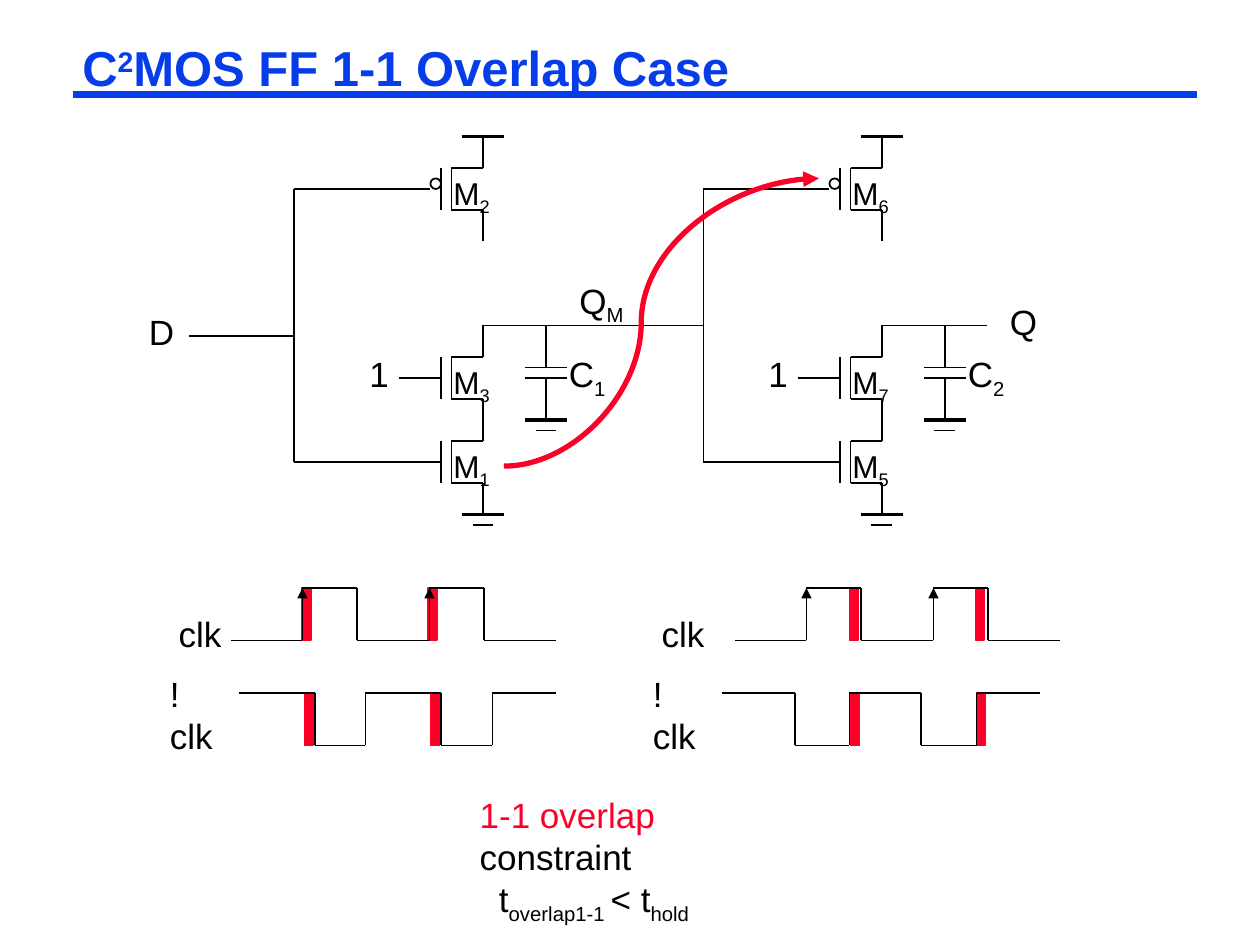
"""Build the C2MOS flip-flop 1-1 overlap slide."""
from lxml.etree import SubElement
from pptx import Presentation
from pptx.dml.color import RGBColor
from pptx.enum.shapes import MSO_CONNECTOR, MSO_SHAPE
from pptx.oxml.ns import qn
from pptx.util import Cm, Pt

COLORS = {"blue": "063DE8", "red": "FC0128", "black": "000000"}
UNIT = 2.54 / 12
STAGE = 38

prs = Presentation()
prs.slide_width, prs.slide_height = Cm(25.4), Cm(19.05)
s = prs.slides.add_slide(prs.slide_layouts[6])


def add_line(x1, y1, x2, y2, width=1, color="black", arrow=False, kind=MSO_CONNECTOR.STRAIGHT):
    ends = [Cm(v * UNIT) for v in (x1, y1, x2, y2)]
    c = s.shapes.add_connector(kind, *ends)
    c.line.width = Pt(width)
    c.line.color.rgb = RGBColor.from_string(COLORS[color])
    if arrow:
        SubElement(c.line._get_or_add_ln(), qn("a:tailEnd"), type="triangle")
    SubElement(c._element.spPr, qn("a:effectLst"))
    return c


def add_text(x, y, w, h, runs, size=20, bold=False, wrap=False):
    tf = s.shapes.add_textbox(*[Cm(v * UNIT) for v in (x, y, w, h)]).text_frame
    tf.word_wrap = wrap
    p = tf.paragraphs[0]
    for text, color, base in runs:
        if text == "\n":
            p = tf.add_paragraph()
            continue
        r = p.add_run()
        r.text = text
        r.font.name, r.font.size, r.font.bold = "Arial", Pt(size), bold
        r.font.color.rgb = RGBColor.from_string(COLORS[color])
        if base:
            r._r.get_or_add_rPr().set("baseline", str(base * 1000))
    return tf


add_line(7, 9, 114, 9, 4.5, "blue")
title = [("C", "blue", 0), ("2", "blue", 30), ("MOS FF 1-1 Overlap Case", "blue", 0)]
tf = add_text(7, 4, 107, 5.5, title, 28, True, True)
tf.margin_left = tf.margin_right = Cm(0.18)
tf.margin_top = tf.margin_bottom = Cm(0.08)
tf.paragraphs[0].line_spacing = 0.87

stages = [
    (0, 28, 67, "1", [(13, "2"), (31, "3"), (39, "1")]),
    (STAGE, 67, 94, "2", [(13, "6"), (31, "7"), (39, "5")]),
]
for dx, bus, out, cap, transistors in stages:
    drain, gate = 46 + dx, 42 + dx
    for top, name in transistors:
        pmos = top == 13
        channel = gate + 1
        for x1, y1, x2, y2 in [
            (drain, 0, drain, 3),
            (channel, 3, drain, 3),
            (channel, 3, channel, 7),
            (gate, 3, gate, 7),
            (gate - 4, 5, gate - pmos, 5),
            (channel, 7, drain, 7),
            (drain, 7, drain, 10),
        ]:
            add_line(x1, top + y1, x2, top + y2)
        if pmos:
            sp = s.shapes.add_shape(MSO_SHAPE.OVAL, *[Cm(v * UNIT) for v in (gate - 1, top + 4, 1, 1)])
            sp.shadow.inherit = False
            sp.fill.background()
            sp.line.width = Pt(1)
            sp.line.color.rgb = RGBColor.from_string(COLORS["black"])
        add_text(gate, top + 3, 6, 4.8, [("M", "black", 0), (name, "black", -25)], 18)

    add_line(drain - 2, 13, drain + 2, 13, 2.25)
    plate = drain + 6
    for x, y in [(drain, 49), (plate, 40)]:
        add_line(x - 2, y, x + 2, y, 2.25)
        add_line(x - 1, y + 1, x + 1, y + 1)
    for y in (35, 36):
        add_line(plate - 2, y, plate + 2, y)
    add_line(plate, 31, plate, 35)
    add_line(plate, 36, plate, 40)
    add_line(drain, 31, out, 31)
    add_line(bus, 18, bus, 44)
    for y in (18, 44):
        add_line(bus, y, gate - 4, y)
    add_text(34 + dx, 33, 4.3, 5.2, [("1", "black", 0)])
    add_text(53 + dx, 33, 6, 5.2, [("C", "black", 0), (cap, "black", -25)])

add_line(18, 32, 28, 32)
add_text(13, 29, 4.8, 5.2, [("D", "black", 0)])
add_text(54, 26, 6.8, 5.2, [("Q", "black", 0), ("M", "black", -25)])
add_text(95, 28, 5, 5.2, [("Q", "black", 0)])

waves = [
    ("clk", 15.84, 57.7, [22, 28.8, 34, 40.9, 46.1, 53], (61, 56), [28.8, 40.8]),
    ("!clk", 15, 63.5, [22.8, 30, 34.8, 42, 46.9, 53], (66, 71), [29, 41]),
    ("clk", 61.84, 57.7, [70, 76.8, 82, 88.9, 94.1, 101], (61, 56), [80.9, 92.9]),
    ("!clk", 61, 63.5, [68.8, 75.7, 80.9, 87.75, 93, 99], (66, 71), [81, 93]),
]
for name, x, y, edges, levels, overlaps in waves:
    add_text(x, y, 7, 5.2, [(name, "black", 0)])
    for left in overlaps:
        sp = s.shapes.add_shape(MSO_SHAPE.RECTANGLE, *[Cm(v * UNIT) for v in (left, min(levels), 0.84, 5)])
        sp.shadow.inherit = False
        sp.fill.solid()
        sp.fill.fore_color.rgb = sp.line.color.rgb = RGBColor.from_string(COLORS["red"])
        sp.line.width = Pt(1)
    for i, (start, end) in enumerate(zip(edges, edges[1:])):
        level, following = levels[i % 2], levels[(i + 1) % 2]
        add_line(start, level, end, level)
        if end != edges[-1]:
            add_line(end, level, end, following, arrow=name == "clk" and following < level)

curve = add_line(48, 44.4, 78, 17, 3, "red", True, MSO_CONNECTOR.CURVE)
geom = curve._element.spPr.find(qn("a:prstGeom"))
SubElement(geom.find(qn("a:avLst")), qn("a:gd"), name="adj1", fmla="val 43600")

constraint = [
    ("1-1 overlap", "red", 0),
    ("\n", "black", 0),
    ("constraint", "black", 0),
    ("\n", "black", 0),
    ("t", "black", 0),
    ("overlap1-1 ", "black", -25),
    ("< t", "black", 0),
    ("hold", "black", -25),
]
tf = add_text(44.5, 75, 34.5, 13, constraint, wrap=True)
tf.paragraphs[2]._p.get_or_add_pPr().set("marL", str(Cm(0.39)))

prs.save("out.pptx")
